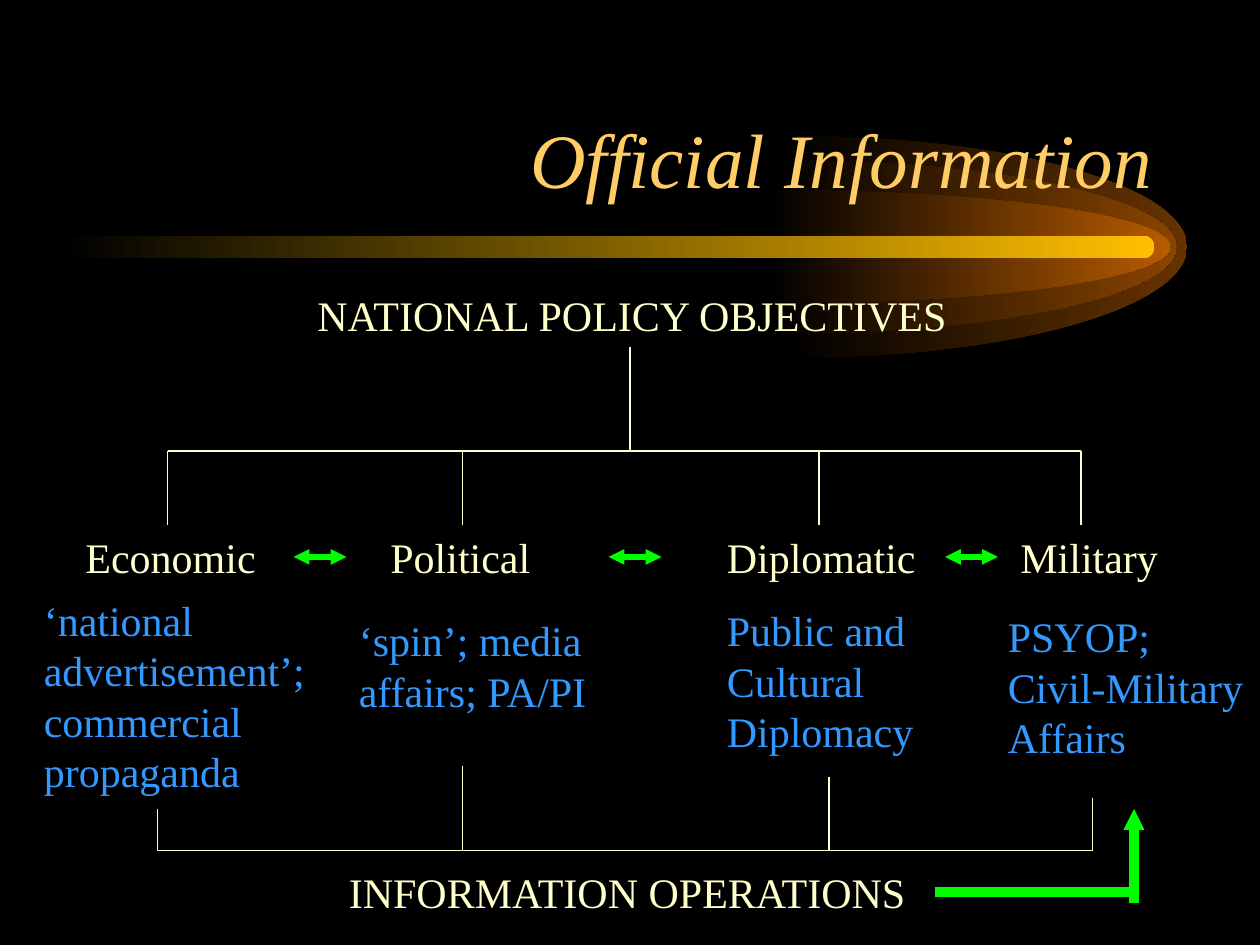
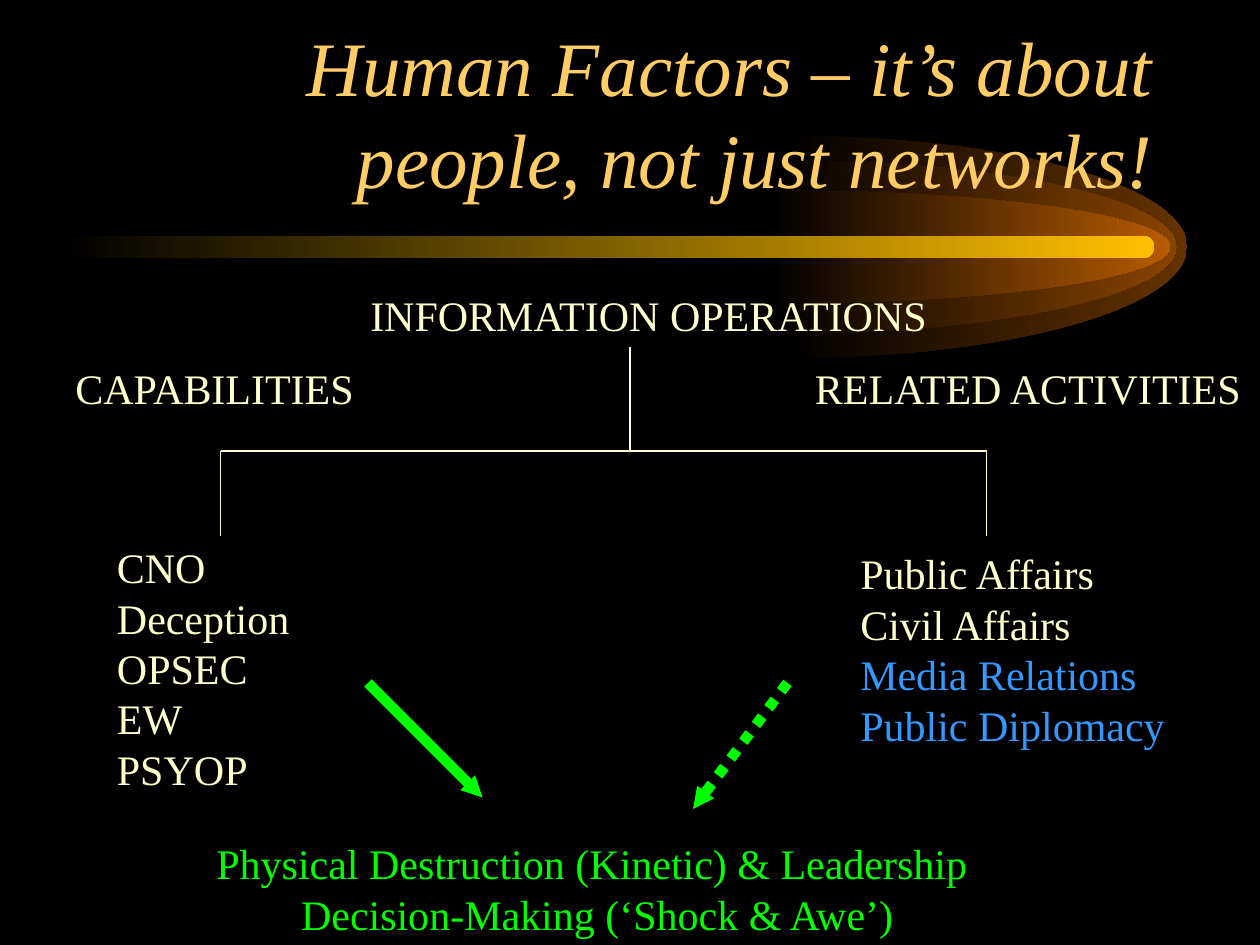
from dataclasses import dataclass
from itertools import pairwise
from typing import Iterable, Optional

from lxml.etree import SubElement
from pptx import Presentation
from pptx.dml.color import RGBColor
from pptx.enum.dml import MSO_LINE
from pptx.enum.shapes import MSO_CONNECTOR, MSO_SHAPE
from pptx.enum.text import MSO_ANCHOR, MSO_AUTO_SIZE, PP_ALIGN
from pptx.oxml.ns import qn
from pptx.shapes.base import BaseShape
from pptx.slide import Slide
from pptx.util import Inches, Pt

COLOURS = {
    "night": "000000",
    "title": "FFCC66",
    "cream": "FFFFCC",
    "blue": "3399FF",
    "green": "00FF00",
    "outer": "663300",
    "middle": "894400",
    "inner": "B75B00",
    "beam": "FFBF00",
}
TITLE_FONT = {"name": "Times New Roman", "size": Pt(44), "italic": True}
BODY_FONT = {"name": "Times New Roman", "size": Pt(24)}
TITLE_FRAME = {"word_wrap": True, "vertical_anchor": MSO_ANCHOR.BOTTOM}
BODY_FRAME = {"word_wrap": False, "auto_size": MSO_AUTO_SIZE.SHAPE_TO_FIT_TEXT}
LINE_HEIGHT = 0.4
TRUNK_X, TRUNK_TOP, RAIL_Y = 5, 2.75, 3.58
BEAM_Y = 1.96
GLOW_REACH = 3.13
ARC_PULL = 0.55
HEADING_TOP = 2.25


@dataclass(frozen=True)
class Glow:
    axis: float
    half_height: float
    colour: str


@dataclass(frozen=True)
class Label:
    left: float
    top: float
    width: float
    lines: tuple[str, ...]
    colour: str = "cream"
    align: PP_ALIGN = PP_ALIGN.LEFT
    blue_from: Optional[int] = None


@dataclass(frozen=True)
class Link:
    x1: float
    y1: float
    x2: float
    y2: float
    colour: str = "cream"
    weight: float = 1
    ends: tuple[str, ...] = ()
    head_size: str = "sm"
    dash: Optional[MSO_LINE] = None


GLOWS = (
    Glow(6.29, 0.88, "outer"),
    Glow(6.21, 0.69, "middle"),
    Glow(6.16, 0.45, "inner"),
)


def rgb(name: str) -> RGBColor:
    return RGBColor.from_string(COLOURS[name])


def apply_format(target: object, values: dict) -> None:
    for attribute, value in values.items():
        setattr(target, attribute, value)


def fade_from_night(shape: BaseShape, colour: str) -> None:
    shape.shadow.inherit = False
    shape.line.fill.background()
    shape.fill.gradient()
    shape.fill.gradient_angle = 0
    for stop, name in zip(shape.fill.gradient_stops, ("night", colour)):
        stop.color.rgb = rgb(name)


def round_tip(shape: BaseShape) -> None:
    top, tip, bottom = [
        (int(point.get("x")), int(point.get("y")))
        for point in list(shape.element.iter(qn("a:pt")))[:3]
    ]
    pull_x = ARC_PULL * (tip[0] - top[0])
    pull_y = ARC_PULL * (tip[1] - top[1])
    arcs = (
        ((top[0] + pull_x, top[1]), (tip[0], tip[1] - pull_y), tip),
        ((tip[0], tip[1] + pull_y), (bottom[0] + pull_x, bottom[1]), bottom),
    )
    edges = list(shape.element.iter(qn("a:lnTo")))
    for edge, arc in zip(edges, arcs):
        edge.tag = qn("a:cubicBezTo")
        edge.remove(edge[0])
        for x, y in arc:
            SubElement(edge, qn("a:pt"), x=str(round(x)), y=str(round(y)))


def draw_glow(slide: Slide, glow: Glow) -> None:
    top, bottom = BEAM_Y - glow.half_height, BEAM_Y + glow.half_height
    corners = [
        (Inches(x), Inches(y))
        for x, y in (
            (glow.axis, top),
            (glow.axis + GLOW_REACH, BEAM_Y),
            (glow.axis, bottom),
            (glow.axis - 0.05, bottom),
            (glow.axis, BEAM_Y),
        )
    ]
    builder = slide.shapes.build_freeform(*corners[0])
    builder.add_line_segments(corners[1:], close=True)
    outline = builder.convert_to_shape()
    round_tip(outline)
    fade_from_night(outline, glow.colour)


def draw_beam(slide: Slide) -> None:
    beam = slide.shapes.add_shape(
        MSO_SHAPE.ROUNDED_RECTANGLE,
        Inches(0.5), Inches(1.87), Inches(8.66), Inches(0.18),
    )
    beam.adjustments[0] = 0.5
    fade_from_night(beam, "beam")


def draw_title(slide: Slide, title: str) -> None:
    box = slide.shapes.add_textbox(
        Inches(0.75), Inches(0.42), Inches(8.5), Inches(1.25)
    )
    apply_format(box.text_frame, TITLE_FRAME)
    paragraph = box.text_frame.paragraphs[0]
    paragraph.text = title
    paragraph.alignment = PP_ALIGN.RIGHT
    apply_format(paragraph.font, TITLE_FONT)
    paragraph.font.color.rgb = rgb("title")


def draw_label(slide: Slide, label: Label) -> None:
    height = 0.1 + LINE_HEIGHT * len(label.lines)
    box = slide.shapes.add_textbox(
        Inches(label.left), Inches(label.top), Inches(label.width), Inches(height)
    )
    frame = box.text_frame
    apply_format(frame, BODY_FRAME)
    frame.text = "\n".join(label.lines)
    for index, paragraph in enumerate(frame.paragraphs):
        is_blue = label.blue_from is not None and index >= label.blue_from
        paragraph.alignment = label.align
        apply_format(paragraph.font, BODY_FONT)
        paragraph.font.color.rgb = rgb("blue" if is_blue else label.colour)


def draw_link(slide: Slide, link: Link) -> None:
    connector = slide.shapes.add_connector(
        MSO_CONNECTOR.STRAIGHT,
        Inches(link.x1), Inches(link.y1), Inches(link.x2), Inches(link.y2),
    )
    connector.line.color.rgb = rgb(link.colour)
    connector.line.width = Pt(link.weight)
    if link.dash is not None:
        connector.line.dash_style = link.dash
    properties = connector.element.spPr
    stroke = properties.find(qn("a:ln"))
    for end in link.ends:
        SubElement(stroke, qn(f"a:{end}"), type="triangle",
                   w=link.head_size, len=link.head_size)
    SubElement(properties, qn("a:effectLst"))


def tree_links(
    rail_stops: tuple[float, ...], branches: tuple[float, ...], bottom: float
) -> list[Link]:
    return [
        Link(TRUNK_X, TRUNK_TOP, TRUNK_X, RAIL_Y),
        *(Link(x1, RAIL_Y, x2, RAIL_Y) for x1, x2 in pairwise(rail_stops)),
        *(Link(x, RAIL_Y, x, bottom) for x in branches),
    ]


def add_topic(
    deck: Presentation, title: str, labels: Iterable[Label], links: Iterable[Link]
) -> None:
    slide = deck.slides.add_slide(deck.slide_layouts[6])
    slide.background.fill.solid()
    slide.background.fill.fore_color.rgb = rgb("night")
    for glow in GLOWS:
        draw_glow(slide, glow)
    draw_beam(slide)
    draw_title(slide, title)
    for link in links:
        draw_link(slide, link)
    for label in labels:
        draw_label(slide, label)


def add_official_information(deck: Presentation) -> None:
    sector_top, gather_y, exchange_y = 4.17, 6.75, 4.42
    sectors = (
        Label(0.58, sector_top, 1.55, ("Economic",)),
        Label(3, sector_top, 1.31, ("Political",)),
        Label(5.67, sector_top, 1.7, ("Diplomatic",)),
        Label(8, sector_top, 1.29, ("Military",)),
    )
    activities = (
        Label(0.25, 4.67, 2.27,
              ("‘national", "advertisement’;", "commercial", "propaganda"), "blue"),
        Label(2.75, 4.83, 2.04, ("‘spin’; media", "affairs; PA/PI"), "blue"),
        Label(5.67, 4.75, 1.68, ("Public and", "Cultural", "Diplomacy"), "blue"),
        Label(7.9, 4.8, 2.07, ("PSYOP;", "Civil-Military", "Affairs"), "blue"),
    )
    headings = (
        Label(2.42, HEADING_TOP, 5.25, ("NATIONAL POLICY OBJECTIVES",)),
        Label(2.67, 6.83, 4.69, ("INFORMATION OPERATIONS",)),
    )
    gather_starts = ((1.25, 6.42), (3.67, 6.08), (6.58, 6.17), (8.67, 6.33))
    links = [
        *tree_links((1.33, 1.75, TRUNK_X, 7.83, 8.58),
                    (1.33, 3.67, 6.5, 8.58), sector_top),
        *(
            Link(x, exchange_y, x + 0.42, exchange_y, "green", 3,
                 ("headEnd", "tailEnd"), "med")
            for x in (2.33, 4.83, 7.5)
        ),
        *(Link(x, top, x, gather_y) for x, top in gather_starts),
        Link(gather_starts[0][0], gather_y, gather_starts[-1][0], gather_y),
        Link(7.42, 7.08, 9, 7.08, "green", 6),
        Link(9, 7.17, 9, 6.42, "green", 6, ("tailEnd",)),
    ]
    add_topic(deck, "Official Information", headings + sectors + activities, links)


def add_human_factors(deck: Presentation) -> None:
    group_top = 2.83
    labels = (
        Label(2.84, HEADING_TOP, 4.69, ("INFORMATION OPERATIONS",)),
        Label(0.5, group_top, 2.44, ("CAPABILITIES",)),
        Label(6.37, group_top, 3.63, ("RELATED ACTIVITIES",)),
        Label(0.83, 4.25, 1.57, ("CNO", "Deception", "OPSEC", "EW", "PSYOP")),
        Label(6.73, 4.3, 2.63,
              ("Public Affairs", "Civil Affairs", "Media Relations",
               "Public Diplomacy"), blue_from=2),
        Label(1.61, 6.6, 6.26,
              ("Physical Destruction (Kinetic) & Leadership ",
               "Decision-Making (‘Shock & Awe’)"), "green", PP_ALIGN.CENTER),
    )
    links = [
        *tree_links((1.75, TRUNK_X, 7.83), (1.75, 7.83), 4.25),
        Link(2.92, 5.42, 3.83, 6.33, "green", 6, ("tailEnd",)),
        Link(6.25, 5.42, 5.5, 6.42, "green", 6, ("tailEnd",),
             dash=MSO_LINE.ROUND_DOT),
    ]
    add_topic(
        deck, "Human Factors – it’s about people, not just networks!", labels, links
    )


def main() -> None:
    deck = Presentation()
    deck.slide_width, deck.slide_height = Inches(10), Inches(7.5)
    add_official_information(deck)
    add_human_factors(deck)
    deck.save("out.pptx")


if __name__ == "__main__":
    main()
